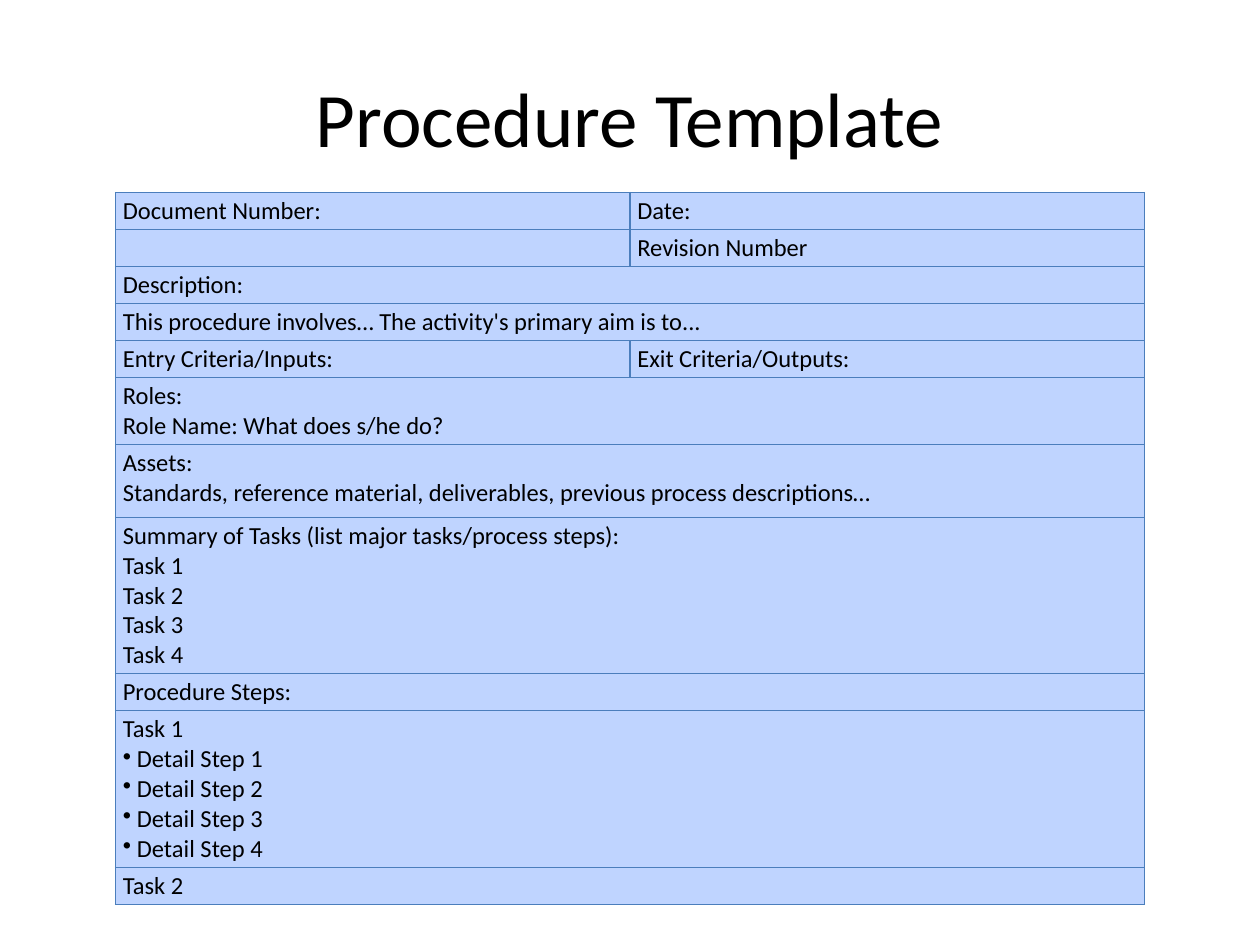
from dataclasses import dataclass

from lxml.etree import SubElement
from pptx import Presentation
from pptx.dml.color import RGBColor
from pptx.enum.text import MSO_ANCHOR, PP_ALIGN
from pptx.oxml.ns import qn
from pptx.util import Pt


@dataclass(frozen=True)
class Theme:
    font: str = "Calibri"
    ink: RGBColor = RGBColor(0, 0, 0)
    cell: RGBColor = RGBColor(0xBF, 0xD4, 0xFF)
    border: str = "4B7EBC"
    border_width: float = 0.75
    title_size: int = 44
    body_size: int = 14
    indent: int = 8


THEME = Theme()
BULLET = "•"
SINGLE = 21.2
FIVE_LINES = 89.4

ROWS = [
    (SINGLE, [["Document Number:"], ["Date:"]]),
    (SINGLE, [[], ["Revision Number"]]),
    (SINGLE, [["Description:"]]),
    (SINGLE, [["This procedure involves… The activity's primary aim is to..."]]),
    (SINGLE, [["Entry Criteria/Inputs:"], ["Exit Criteria/Outputs:"]]),
    (38.3, [["Roles:", "Role Name: What does s/he do?"]]),
    (41.5, [["Assets:", "Standards, reference material, deliverables, previous process descriptions…"]]),
    (FIVE_LINES, [["Summary of Tasks (list major tasks/process steps):"]
                  + [f"Task {number}" for number in range(1, 5)]]),
    (SINGLE, [["Procedure Steps:"]]),
    (FIVE_LINES, [["Task 1"] + [f"{BULLET}Detail Step {number}" for number in range(1, 5)]]),
    (SINGLE, [["Task 2"]]),
]


def add_span(para, text, size):
    span = para.add_run()
    span.text = text
    span.font.name = THEME.font
    span.font.size = Pt(size)
    span.font.color.rgb = THEME.ink


def add_bullet(para):
    properties = para._p.get_or_add_pPr()
    properties.set("marL", str(Pt(THEME.indent)))
    properties.set("indent", str(-Pt(THEME.indent)))
    SubElement(properties, qn("a:buChar"), char=BULLET)


def style_cell(cell):
    cell.margin_left = cell.margin_right = Pt(4.2)
    cell.margin_top = cell.margin_bottom = Pt(2.1)
    properties = cell._tc.get_or_add_tcPr()
    for side in ("lnL", "lnR", "lnT", "lnB"):
        line = SubElement(properties, qn(f"a:{side}"), w=str(Pt(THEME.border_width)))
        SubElement(SubElement(line, qn("a:solidFill")), qn("a:srgbClr"), val=THEME.border)
    cell.fill.solid()
    cell.fill.fore_color.rgb = THEME.cell


def fill_cell(cell, lines):
    frame = cell.text_frame
    for index, text in enumerate(lines):
        para = frame.add_paragraph() if index else frame.paragraphs[0]
        if text.startswith(BULLET):
            add_bullet(para)
        add_span(para, text.removeprefix(BULLET), THEME.body_size)
    if not lines:
        SubElement(frame.paragraphs[0]._p, qn("a:endParaRPr"), sz=str(THEME.body_size * 100))


def add_title(page, left, top, width, height):
    box = page.shapes.add_textbox(Pt(left), Pt(top), Pt(width), Pt(height))
    frame = box.text_frame
    frame.word_wrap = True
    frame.vertical_anchor = MSO_ANCHOR.MIDDLE
    para = frame.paragraphs[0]
    para.alignment = PP_ALIGN.CENTER
    add_span(para, "Procedure Template", THEME.title_size)


def add_procedure_table(page, left, top, width):
    height = sum(row_height for row_height, _ in ROWS)
    table = page.shapes.add_table(
        len(ROWS), 2, Pt(left), Pt(top), Pt(width), Pt(height)).table
    table.first_row = table.horz_banding = False
    for column in table.columns:
        column.width = Pt(width / 2)
    for index, (row_height, entries) in enumerate(ROWS):
        row = table.rows[index]
        row.height = Pt(row_height)
        cells = list(row.cells)
        for cell in cells:
            style_cell(cell)
        if len(entries) == 1:
            cells[0].merge(cells[1])
            entries = entries + [[]]
        for cell, lines in zip(cells, entries):
            fill_cell(cell, lines)


def main():
    deck = Presentation()
    deck.slide_width, deck.slide_height = Pt(720), Pt(540)
    page = deck.slides.add_slide(deck.slide_layouts[6])
    add_title(page, 36, 21.6, 648, 90)
    add_procedure_table(page, 66, 110, 588)
    deck.save("out.pptx")


if __name__ == "__main__":
    main()
